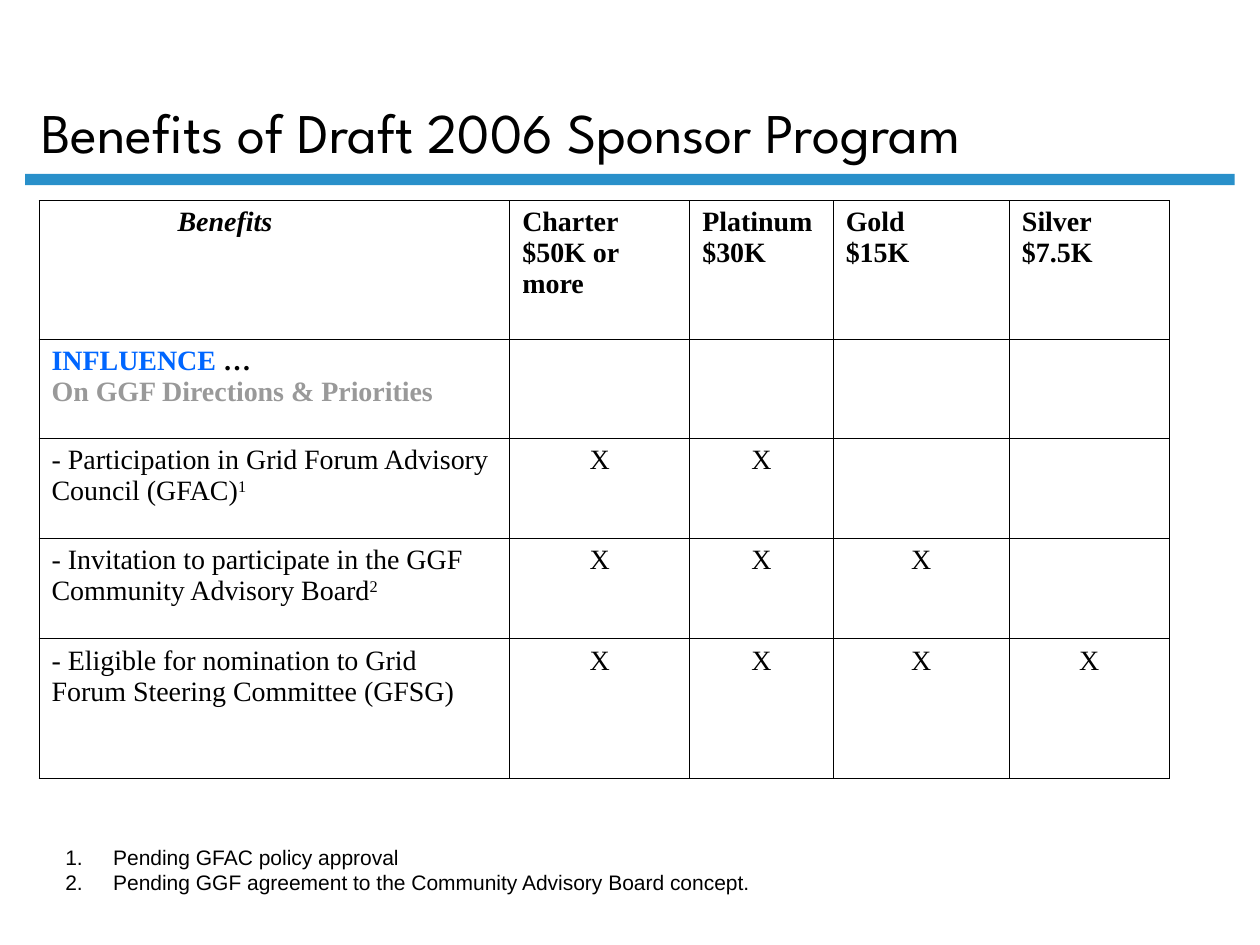
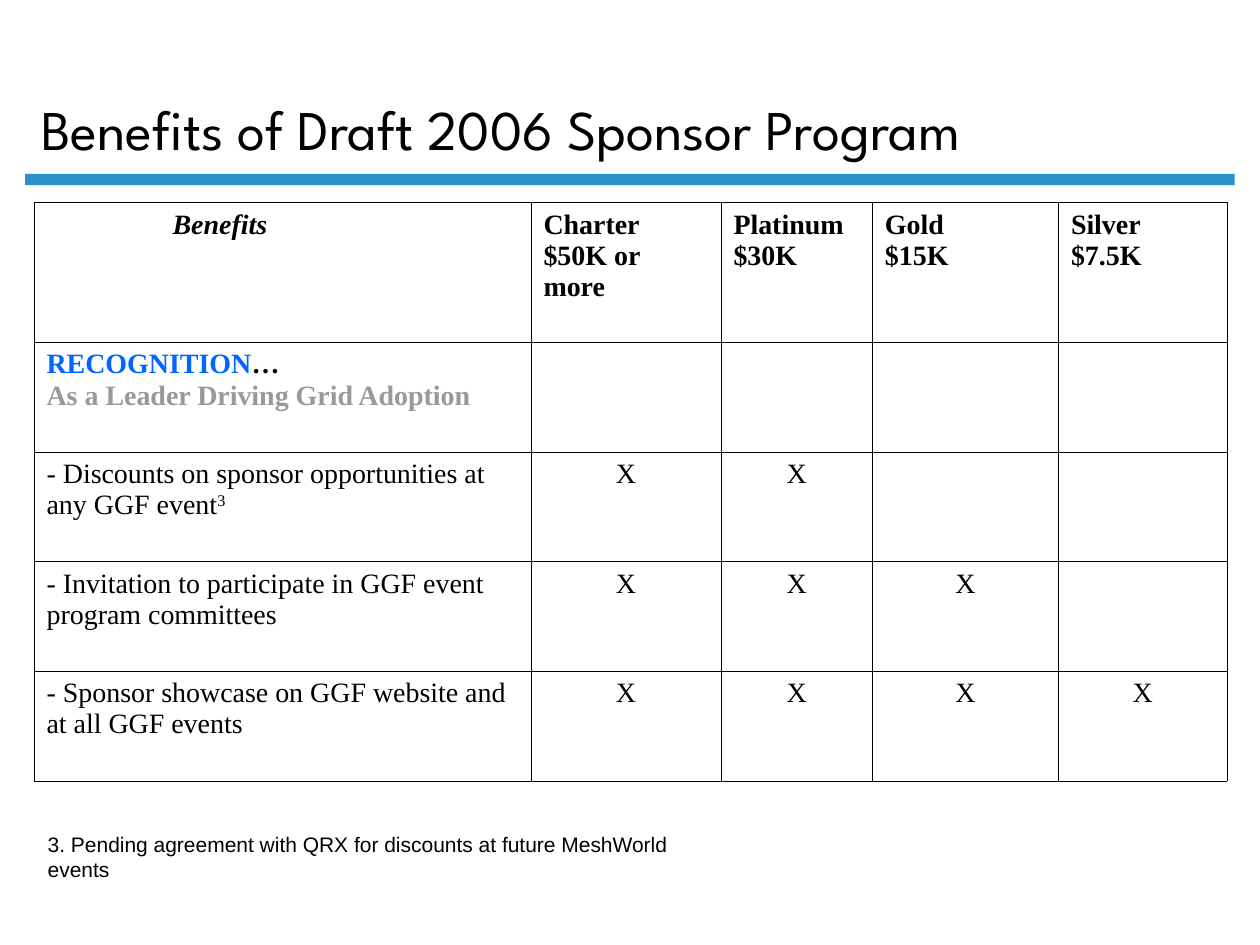
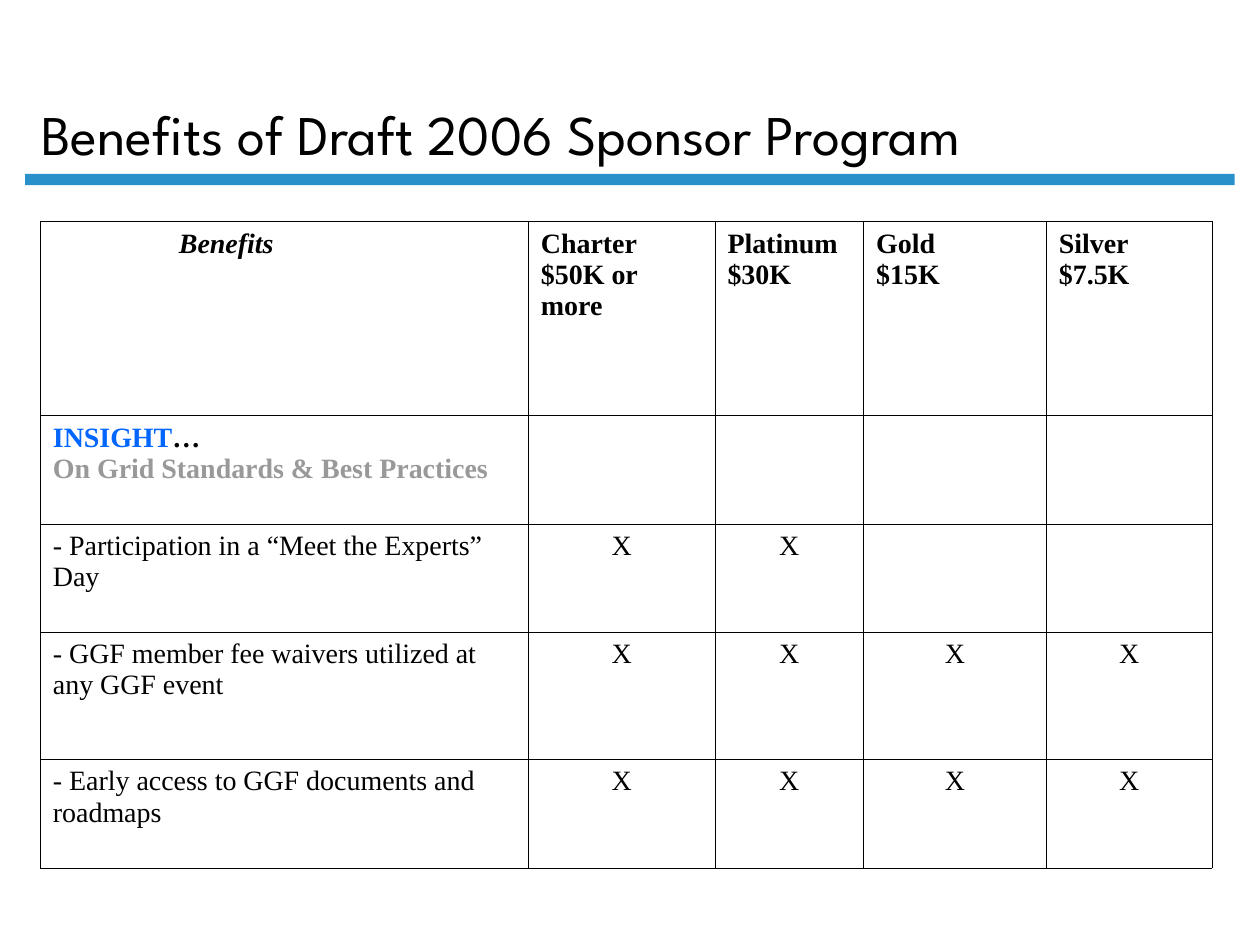
from dataclasses import dataclass

from lxml import etree
from pptx import Presentation
from pptx import util as u
from pptx.dml.color import RGBColor
from pptx.enum import shapes, text
from pptx.oxml.ns import qn


# Shared look
@dataclass(frozen=True)
class Theme:
    ink: str = "000000"
    band: str = "2990CA"
    topic: str = "0066FF"
    subtopic: str = "999999"
    title_font: str = "League Spartan"
    table_font: str = "Times New Roman"
    note_font: str = "Arial"
    title_size: float = 32
    table_size: float = 16
    note_size: float = 12
    border_width: float = 0.45


THEME = Theme()
TITLE = "Benefits of Draft 2006 Sponsor Program"
TIERS = [("Charter", "$50K or more"), ("Platinum", "$30K"),
         ("Gold", "$15K"), ("Silver", "$7.5K")]
COLUMN_SHARES = [3.74, 1.43, 1.14, 1.4, 1.27]

# Each benefit: wording, footnote mark, number of tiers that receive it
PAGES = [
    dict(title_top=0.42, table_at=(0.31, 1.59), table_width=8.97,
         row_heights=[1.1, 0.79, 0.79, 0.8, 1.11],
         topic=("INFLUENCE", " …", "On GGF Directions & Priorities"),
         benefits=[
             ("- Participation in Grid Forum Advisory Council (GFAC)", "1", 2),
             ("- Invitation to participate in the GGF Community Advisory Board", "2", 3),
             ("- Eligible for nomination to Grid Forum Steering Committee (GFSG)", "", 4)],
         notes=["Pending GFAC policy approval",
                "Pending GGF agreement to the Community Advisory Board concept."],
         notes_at=(0.42, 6.65, 5.64, 0.5), numbered=True),
    dict(title_top=0.39, table_at=(0.27, 1.61), table_width=9.47,
         row_heights=[1.11] + [0.87] * 4,
         topic=("RECOGNITION", "…", "As a Leader Driving Grid Adoption"),
         benefits=[
             ("- Discounts on sponsor opportunities at any GGF event", "3", 2),
             ("- Invitation to participate in GGF event program committees", "", 3),
             ("- Sponsor showcase on GGF website and at all GGF events", "", 4)],
         notes=["3. Pending agreement with QRX for discounts at future MeshWorld events"],
         notes_at=(0.28, 6.65, 5.51, 0.3), numbered=False),
    dict(title_top=0.43, table_at=(0.32, 1.76), table_width=9.3,
         row_heights=[1.54, 0.86, 0.86, 1.01, 0.86],
         topic=("INSIGHT", "…", "On Grid Standards & Best Practices"),
         benefits=[
             ("- Participation in a “Meet the Experts” Day", "", 2),
             ("- GGF member fee waivers utilized at any GGF event", "", 4),
             ("- Early access to GGF documents and roadmaps", "", 4)],
         notes=[]),
]


# Text
def add_span(para, words, font=THEME.table_font, size=THEME.table_size,
             color=THEME.ink, bold=False, italic=False, raised=False):
    span = para.add_run()
    span.text = words
    span.font.name = font
    span.font.size = u.Pt(size)
    span.font.bold = bold
    span.font.italic = italic
    span.font.color.rgb = RGBColor.from_string(color)
    if raised:
        span._r.get_or_add_rPr().set("baseline", "30000")
    return span


def next_para(frame, index):
    return frame.paragraphs[0] if index == 0 else frame.add_paragraph()


def set_indent(para, left, first=0):
    props = para._p.get_or_add_pPr()
    props.set("marL", str(u.Inches(left)))
    props.set("indent", str(u.Inches(first)))
    return props


def add_text_box(page, left, top, width, height, anchor, wrap):
    box = page.shapes.add_textbox(*map(u.Inches, (left, top, width, height)))
    frame = box.text_frame
    frame.word_wrap = wrap
    frame.vertical_anchor = anchor
    return frame


# Title and band
def add_heading(page, top):
    band = page.shapes.add_shape(
        shapes.MSO_SHAPE.RECTANGLE, *map(u.Inches, (0.2, 1.38, 9.6, 0.09)))
    band.shadow.inherit = False
    band.fill.solid()
    band.fill.fore_color.rgb = RGBColor.from_string(THEME.band)
    band.line.fill.background()
    frame = add_text_box(page, 0.23, top, 8.56, 0.94, text.MSO_ANCHOR.BOTTOM, True)
    add_span(frame.paragraphs[0], TITLE, font=THEME.title_font, size=THEME.title_size)


# Benefits table
def style_cell(cell):
    props = cell._tc.get_or_add_tcPr()
    for side in ("lnL", "lnR", "lnT", "lnB"):
        line = etree.SubElement(props, qn(f"a:{side}"), w=str(u.Pt(THEME.border_width)))
        fill = etree.SubElement(line, qn("a:solidFill"))
        etree.SubElement(fill, qn("a:srgbClr"), val=THEME.ink)
    cell.fill.background()


def fill_header(cells):
    para = cells[0].text_frame.paragraphs[0]
    set_indent(para, 1)
    add_span(para, "Benefits", bold=True, italic=True)
    for cell, tier in zip(cells[1:], TIERS):
        for index, words in enumerate(tier):
            add_span(next_para(cell.text_frame, index), words, bold=True)


def fill_topic(cell, name, dots, subtopic):
    para = cell.text_frame.paragraphs[0]
    add_span(para, name, color=THEME.topic, bold=True)
    add_span(para, dots, bold=True)
    add_span(cell.text_frame.add_paragraph(), subtopic, color=THEME.subtopic, bold=True)


def fill_benefit(cells, words, mark, tier_count):
    para = cells[0].text_frame.paragraphs[0]
    add_span(para, words)
    if mark:
        add_span(para, mark, raised=True)
    for cell in cells[1:tier_count + 1]:
        para = cell.text_frame.paragraphs[0]
        para.alignment = text.PP_ALIGN.CENTER
        add_span(para, "X")


def add_benefits_table(page, at, width, row_heights, topic, benefits):
    frame = page.shapes.add_table(
        len(row_heights), len(COLUMN_SHARES),
        *map(u.Inches, (*at, width, sum(row_heights))))
    table = frame.table
    table.first_row = table.horz_banding = False
    for column, share in zip(table.columns, COLUMN_SHARES):
        column.width = u.Inches(width * share / sum(COLUMN_SHARES))
    for row, height in zip(table.rows, row_heights):
        row.height = u.Inches(height)
    for cell in table.iter_cells():
        style_cell(cell)
    rows = [list(row.cells) for row in table.rows]
    fill_header(rows[0])
    fill_topic(rows[1][0], *topic)
    for cells, benefit in zip(rows[2:], benefits):
        fill_benefit(cells, *benefit)


# Footnotes
def add_notes(page, notes, at, numbered):
    anchor = text.MSO_ANCHOR.TOP if numbered else text.MSO_ANCHOR.MIDDLE
    frame = add_text_box(page, *at, anchor, False)
    frame.auto_size = text.MSO_AUTO_SIZE.SHAPE_TO_FIT_TEXT
    for index, words in enumerate(notes):
        para = next_para(frame, index)
        if numbered:
            props = set_indent(para, 0.38, -0.38)
            etree.SubElement(props, qn("a:buAutoNum"), type="arabicPeriod")
        add_span(para, words, font=THEME.note_font, size=THEME.note_size)


def main():
    deck = Presentation()
    deck.slide_width, deck.slide_height = u.Inches(10), u.Inches(7.5)
    for content in PAGES:
        page = deck.slides.add_slide(deck.slide_layouts[6])
        add_heading(page, content["title_top"])
        add_benefits_table(page, content["table_at"], content["table_width"],
                           content["row_heights"], content["topic"], content["benefits"])
        if content["notes"]:
            add_notes(page, content["notes"], content["notes_at"], content["numbered"])
    deck.save("out.pptx")


if __name__ == "__main__":
    main()
